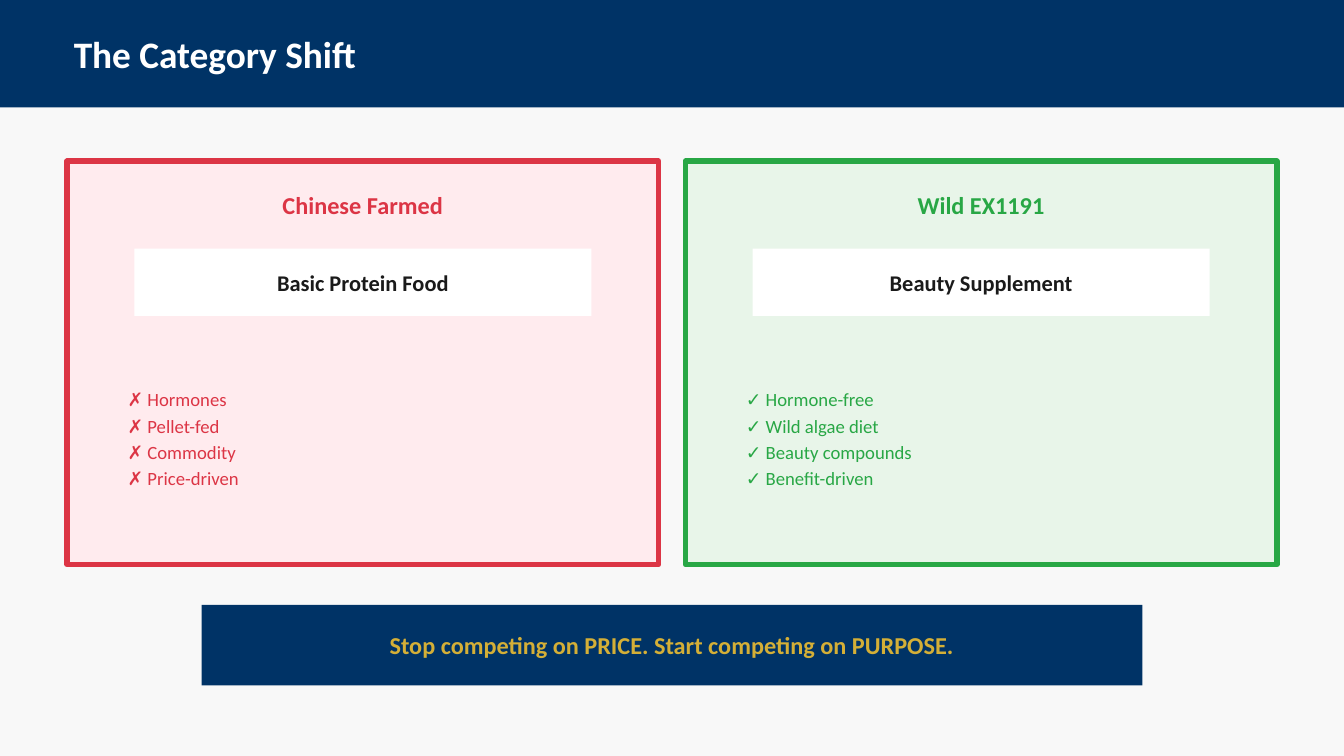
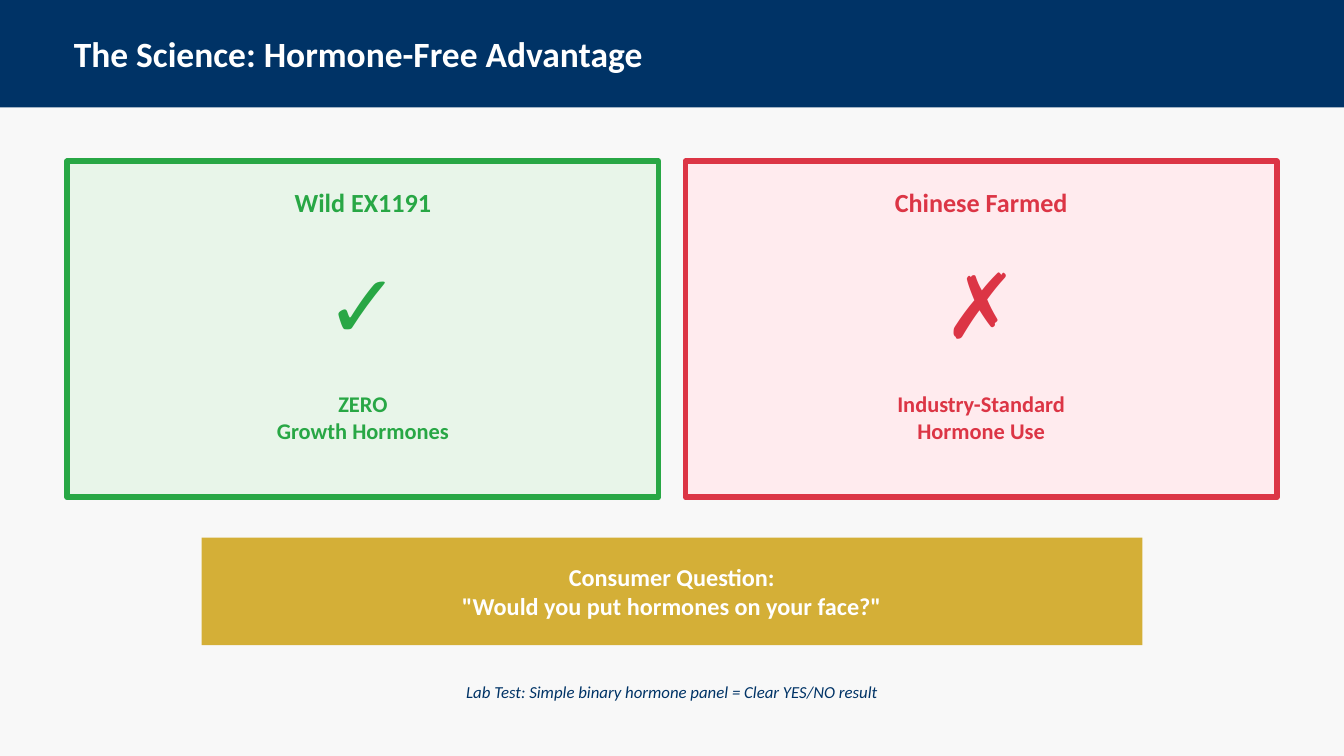
from dataclasses import dataclass

from pptx import Presentation
from pptx.dml.color import RGBColor
from pptx.enum.shapes import MSO_SHAPE
from pptx.enum.text import MSO_ANCHOR, PP_ALIGN
from pptx.util import Inches, Pt

RECT = MSO_SHAPE.RECTANGLE
MIDDLE = MSO_ANCHOR.MIDDLE
LEFT, CENTER = PP_ALIGN.LEFT, PP_ALIGN.CENTER


@dataclass(frozen=True)
class Theme:
    font: str = "Calibri"
    page: str = "F8F8F8"
    navy: str = "003366"
    gold: str = "D4AF37"
    white: str = "FFFFFF"
    ink: str = "1A1A1A"
    red: str = "DC3545"
    pink: str = "FFEBEE"
    green: str = "28A745"
    mint: str = "E8F5E9"
    mark: int = 96
    call: int = 26
    label: int = 24
    item: int = 20
    note: int = 18
    edge: int = 6


theme = Theme()

# The grid has 20 columns across the slide; rows are as tall as columns are wide.
COLS, ROWS = 20, 11.25
deck = Presentation()
deck.slide_width, deck.slide_height = Inches(COLS), Inches(ROWS)
UNIT = deck.slide_width / COLS

MARGIN, GAP, TOP = 1, 0.4, 2.4
CARD = (COLS - 2 * MARGIN - GAP) / 2
STARTS = [MARGIN, MARGIN + CARD + GAP]
CALL = 14
CALL_X = (COLS - CALL) / 2


def block(slide, x, y, w, h, fill, line=None):
    """Draw a filled rectangle, with a border if a line colour is given."""
    shape = slide.shapes.add_shape(RECT, *(round(n * UNIT) for n in (x, y, w, h)))
    shape.shadow.inherit = False
    shape.fill.solid()
    shape.fill.fore_color.rgb = RGBColor.from_string(fill)
    if line:
        shape.line.color.rgb = RGBColor.from_string(line)
        shape.line.width = Pt(theme.edge)
    else:
        shape.line.fill.background()


def write(slide, text, x, y, w, h, *, size, color, bold=True, italic=False,
          align=CENTER, pitch=None):
    """Add a text box with one paragraph per line of text."""
    box = slide.shapes.add_textbox(*(round(n * UNIT) for n in (x, y, w, h)))
    frame = box.text_frame
    frame.word_wrap = True
    frame.vertical_anchor = MIDDLE
    frame.text = text
    for para in frame.paragraphs:
        para.alignment = align
        if pitch:
            para.line_spacing = Pt(pitch)
        for run in para.runs:
            font = run.font
            font.name, font.size = theme.font, Pt(size)
            font.bold, font.italic = bold, italic
            font.color.rgb = RGBColor.from_string(color)


# Background, title band and title
slides = []
for title, size in [("The Category Shift", 40),
                    ("The Science: Hormone-Free Advantage", 38)]:
    slide = deck.slides.add_slide(deck.slide_layouts[6])
    slide.background.fill.solid()
    slide.background.fill.fore_color.rgb = RGBColor.from_string(theme.page)
    block(slide, 0, 0, COLS, 1.6, theme.navy)
    write(slide, title, MARGIN, 0.4, COLS - 2 * MARGIN, 0.8,
          size=size, color=theme.white, align=LEFT)
    slides.append(slide)
shift, science = slides

farmed = ("Chinese Farmed", "✗", theme.red, theme.pink)
wild = ("Wild EX1191", "✓", theme.green, theme.mint)

# Slide 1: two categories with their traits
sides = [
    (farmed, "Basic Protein Food",
     ["Hormones", "Pellet-fed", "Commodity", "Price-driven"]),
    (wild, "Beauty Supplement",
     ["Hormone-free", "Wild algae diet", "Beauty compounds", "Benefit-driven"]),
]
for x, ((name, mark, color, tint), kind, traits) in zip(STARTS, sides):
    block(shift, x, TOP, CARD, 6, tint, color)
    write(shift, name, x + 0.4, 2.7, CARD - 0.8, 0.7, size=26, color=color)
    block(shift, x + 1, 3.7, CARD - 2, 1, theme.white)
    write(shift, kind, x + 1, 3.9, CARD - 2, 0.6, size=theme.label, color=theme.ink)
    write(shift, "\n".join(f"{mark} {trait}" for trait in traits),
          x + 0.8, 5.1, CARD - 1.6, 2.8, size=theme.item, color=color,
          bold=False, align=LEFT, pitch=28)

block(shift, CALL_X, 9, CALL, 1.2, theme.navy)
write(shift, "Stop competing on PRICE. Start competing on PURPOSE.",
      CALL_X, 9.1, CALL, 1, size=theme.call, color=theme.gold)

# Slide 2: hormone verdicts
sides = [(wild, "ZERO\nGrowth Hormones"),
         (farmed, "Industry-Standard\nHormone Use")]
for x, ((name, mark, color, tint), claim) in zip(STARTS, sides):
    block(science, x, TOP, CARD, 5, tint, color)
    write(science, name, x + 0.4, 2.7, CARD - 0.8, 0.6, size=28, color=color)
    write(science, mark, x + 2, 3.7, CARD - 4, 1.6, size=theme.mark, color=color)
    write(science, claim, x + 0.8, 5.5, CARD - 1.6, 1.4, size=theme.label, color=color)

block(science, CALL_X, 8, CALL, 1.6, theme.gold)
write(science, 'Consumer Question:\n"Would you put hormones on your face?"',
      CALL_X, 8.2, CALL, 1.2, size=theme.call, color=theme.white)
write(science, "Lab Test: Simple binary hormone panel = Clear YES/NO result",
      2, 10, COLS - 4, 0.6, size=theme.note, color=theme.navy, bold=False, italic=True)

deck.save("out.pptx")
